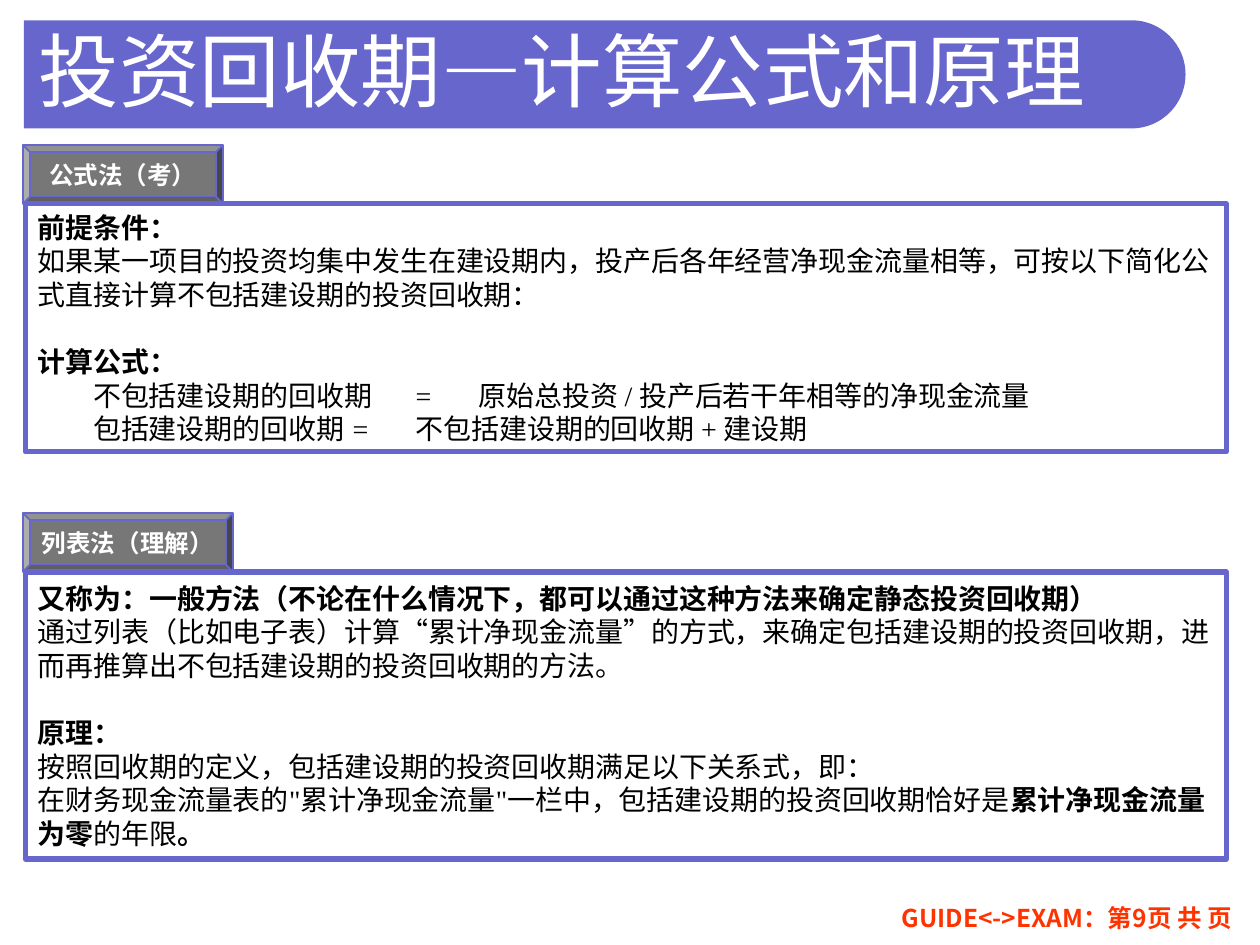
from dataclasses import dataclass
from math import cos, pi, sin

from lxml.etree import SubElement
from pptx import Presentation
from pptx.dml.color import RGBColor
from pptx.enum.lang import MSO_LANGUAGE_ID
from pptx.enum.shapes import MSO_SHAPE
from pptx.enum.text import MSO_ANCHOR, MSO_AUTO_SIZE, PP_ALIGN
from pptx.oxml.ns import qn
from pptx.util import Cm, Pt

COLORS = {
    "accent": "6666CC",
    "label": "777777",
    "paper": "FFFFFF",
    "ink": "000000",
    "footer": "FF3300",
}
HEADING_FONT = "Noto Sans CJK KR"
BODY_FONT = "Times New Roman"
PANEL_LEFT, PANEL_WIDTH = 0.51, 24.21
LABEL_LEFT, LABEL_HEIGHT = 0.46, 1.19
FORMULA_INDENT = 1.12
FORMULA_TABS = (7.15, 8.0)


@dataclass(frozen=True)
class Words:
    text: str
    bold: bool = False


@dataclass(frozen=True)
class Line:
    words: tuple[Words, ...]
    starts_group: bool = False
    is_formula: bool = False


@dataclass(frozen=True)
class Section:
    label: str
    label_width: float
    top: float
    height: float
    lines: tuple[Line, ...]


def heading(text: str, starts_group: bool = False) -> Line:
    return Line((Words(text, True),), starts_group)


def plain(text: str) -> Line:
    return Line((Words(text),))


def formula(result: str, expression: str) -> Line:
    return Line((Words(f"{result}\t=\t{expression}"),), is_formula=True)


SECTIONS = (
    Section("公式法（考）", 4.04, 4.11, 5.0, (
        heading("前提条件："),
        plain("如果某一项目的投资均集中发生在建设期内，投产后各年经营净现金流量相等，"
              "可按以下简化公式直接计算不包括建设期的投资回收期："),
        heading("计算公式：", starts_group=True),
        formula("不包括建设期的回收期", "原始总投资 / 投产后若干年相等的净现金流量"),
        formula("包括建设期的回收期", "不包括建设期的回收期 + 建设期"),
    )),
    Section("列表法（理解）", 4.24, 11.53, 5.79, (
        heading("又称为：一般方法（不论在什么情况下，都可以通过这种方法来确定静态投资回收期）"),
        plain("通过列表（比如电子表）计算“累计净现金流量”的方式，来确定包括建设期的投资回收期，"
              "进而再推算出不包括建设期的投资回收期的方法。"),
        heading("原理：", starts_group=True),
        plain("按照回收期的定义，包括建设期的投资回收期满足以下关系式，即："),
        Line((
            Words("在财务现金流量表的\"累计净现金流量\"一栏中，包括建设期的投资回收期恰好是"),
            Words("累计净现金流量为零", True),
            Words("的年限"),
            Words("。", True),
        )),
    )),
)


def rgb(name: str) -> RGBColor:
    return RGBColor.from_string(COLORS[name])


def add_run(paragraph, text: str, font_name: str, size: float, color: str,
            bold: bool = False) -> None:
    run = paragraph.add_run()
    run.text = text
    font = run.font
    font.size, font.bold, font.name = Pt(size), bold, font_name
    font.color.rgb = rgb(color)
    font.language_id = MSO_LANGUAGE_ID.SIMPLIFIED_CHINESE
    if font_name == HEADING_FONT:
        SubElement(run._r.get_or_add_rPr(), qn("a:ea"), typeface=font_name)


def align_formula(paragraph) -> None:
    """Indent the line and line up the equals sign and the right-hand side."""
    properties = paragraph._p.get_or_add_pPr()
    properties.set("marL", "0")
    properties.set("indent", str(Cm(FORMULA_INDENT)))
    tabs = SubElement(properties, qn("a:tabLst"))
    for position in FORMULA_TABS:
        SubElement(tabs, qn("a:tab"), pos=str(Cm(position)), algn="l")


def add_box(slide, preset, left: float, top: float, width: float, height: float,
            fill: str, line_width: float):
    box = slide.shapes.add_shape(preset, Cm(left), Cm(top), Cm(width), Cm(height))
    box.shadow.inherit = False
    box.fill.solid()
    box.fill.fore_color.rgb = rgb(fill)
    box.line.color.rgb = rgb("accent")
    box.line.width = Pt(line_width)
    box.text_frame.vertical_anchor = MSO_ANCHOR.MIDDLE
    return box


def add_section(slide, section: Section) -> None:
    label = add_box(slide, MSO_SHAPE.BEVEL, LABEL_LEFT, section.top - LABEL_HEIGHT,
                    section.label_width, LABEL_HEIGHT, "label", 1)
    label.text_frame.word_wrap = False
    label_line = label.text_frame.paragraphs[0]
    label_line.alignment = PP_ALIGN.CENTER
    add_run(label_line, section.label, HEADING_FONT, 14, "paper", True)

    panel = add_box(slide, MSO_SHAPE.RECTANGLE, PANEL_LEFT, section.top,
                    PANEL_WIDTH, section.height, "paper", 3)
    frame = panel.text_frame
    frame.word_wrap = True
    for index, line in enumerate(section.lines):
        paragraph = frame.add_paragraph() if index else frame.paragraphs[0]
        paragraph.alignment = PP_ALIGN.LEFT
        if line.starts_group:
            paragraph.space_before = Pt(19.2)
        if line.is_formula:
            align_formula(paragraph)
        for words in line.words:
            add_run(paragraph, words.text, BODY_FONT, 16, "ink", words.bold)


def add_banner(slide, left: float, top: float, width: float, height: float) -> None:
    """Draw a bar whose right end is a half circle."""
    radius, steps = height / 2, 48
    center_x, center_y = left + width - radius, top + radius
    angles = [pi * step / steps - pi / 2 for step in range(steps + 1)]
    outline = [(Cm(center_x + radius * cos(a)), Cm(center_y + radius * sin(a)))
               for a in angles]
    builder = slide.shapes.build_freeform(Cm(left), Cm(top))
    builder.add_line_segments(outline + [(Cm(left), Cm(top + height))], close=True)
    banner = builder.convert_to_shape()
    banner.shadow.inherit = False
    banner.fill.solid()
    banner.fill.fore_color.rgb = rgb("accent")
    banner.line.fill.background()


def place_title(slide, text: str) -> None:
    title = slide.shapes.title
    title.left, title.top, title.width, title.height = Cm(0.53), Cm(0.13), Cm(23.77), Cm(2.54)
    title.text_frame.auto_size = MSO_AUTO_SIZE.NONE
    title.text_frame.vertical_anchor = MSO_ANCHOR.MIDDLE
    paragraph = title.text_frame.paragraphs[0]
    paragraph.alignment = PP_ALIGN.LEFT
    add_run(paragraph, text, "Arial", 46, "paper")
    slide.shapes._spTree.append(title._element)  # in front of the banner


def add_footer(slide, text: str) -> None:
    footer = slide.shapes.add_textbox(Cm(16.69), Cm(18.08), Cm(9.63), Cm(0.99))
    footer.text_frame.word_wrap = False
    paragraph = footer.text_frame.paragraphs[0]
    paragraph.alignment = PP_ALIGN.CENTER
    add_run(paragraph, text, HEADING_FONT, 14, "footer", True)


def main() -> None:
    presentation = Presentation()
    presentation.slide_width, presentation.slide_height = Cm(25.4), Cm(19.05)
    slide = presentation.slides.add_slide(presentation.slide_layouts[5])
    add_banner(slide, 0.48, 0.41, 23.42, 2.18)
    add_footer(slide, "GUIDE<->EXAM：第9页 共 页")
    place_title(slide, "投资回收期—计算公式和原理")
    for section in SECTIONS:
        add_section(slide, section)
    presentation.save("out.pptx")


if __name__ == "__main__":
    main()
